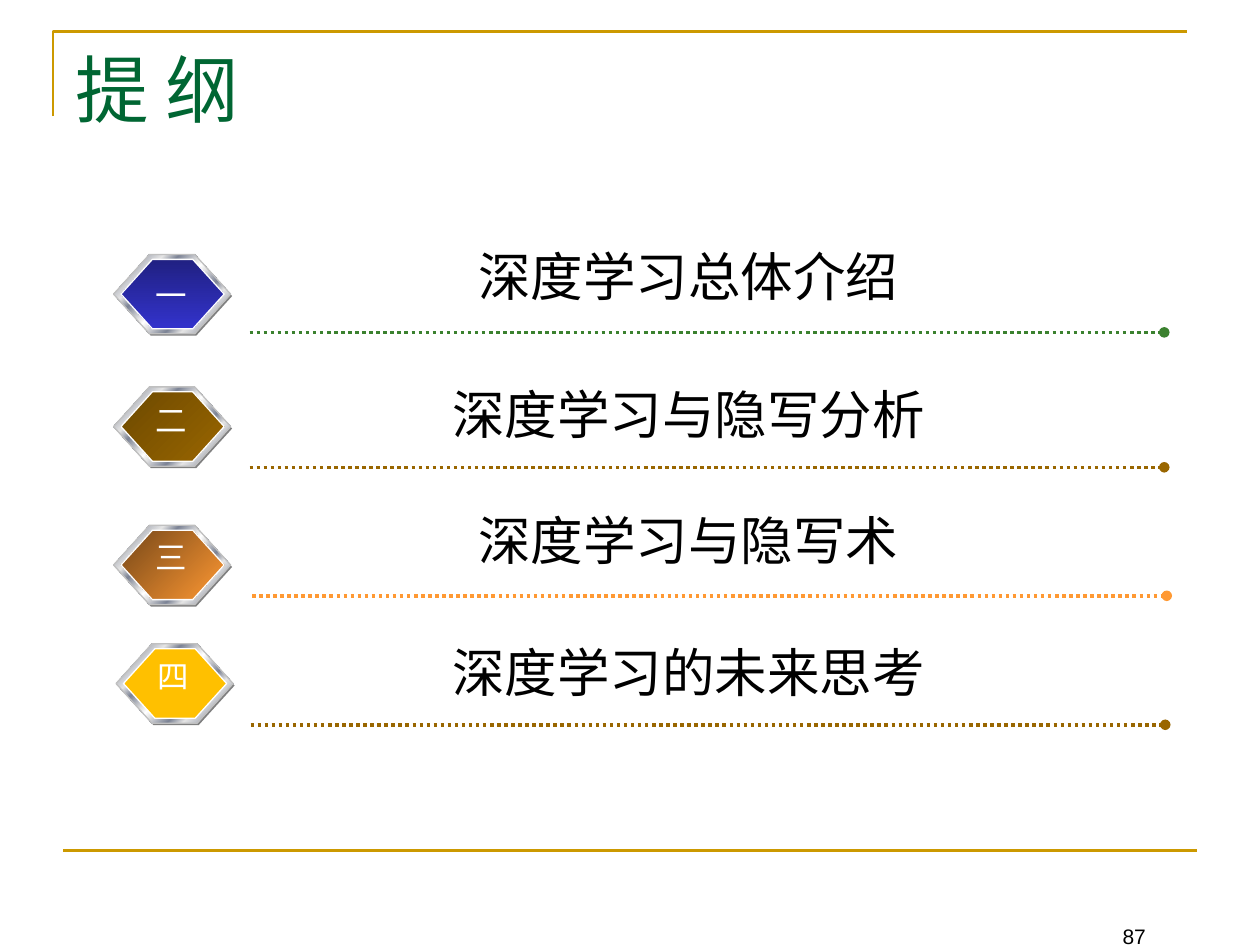
from lxml import etree
from pptx import Presentation
from pptx.dml.color import RGBColor
from pptx.enum.dml import MSO_LINE
from pptx.enum.shapes import MSO_CONNECTOR, MSO_SHAPE
from pptx.enum.text import MSO_ANCHOR, MSO_AUTO_SIZE, PP_ALIGN
from pptx.oxml.ns import qn
from pptx.util import Cm, Pt

HEXAGON = MSO_SHAPE.HEXAGON
STRAIGHT = MSO_CONNECTOR.STRAIGHT
DOTTED = MSO_LINE.ROUND_DOT
CENTER, LEFT = PP_ALIGN.CENTER, PP_ALIGN.LEFT
TOP, BOTTOM = MSO_ANCHOR.TOP, MSO_ANCHOR.BOTTOM
NO_AUTOFIT = MSO_AUTO_SIZE.NONE

CJK_FONT = "Noto Sans CJK SC"
GOLD = "CC9900"
METAL = [(0, "E6E6E6"), (8, "7D8496"), (26, "E6E6E6"), (34, "7D8496"),
         (46, "E6E6E6"), (50, "FFFFFF"), (54, "E6E6E6"), (66, "7D8496"),
         (74, "E6E6E6"), (92, "7D8496"), (100, "E6E6E6")]


def rgb(color):
    return RGBColor.from_string(color)


def set_gradient(s, stops, angle):
    s.fill.gradient()
    s.fill.gradient_angle = 360 - angle
    gs_list = s._element.spPr.find(".//" + qn("a:gsLst"))
    for gs in list(gs_list):
        gs_list.remove(gs)
    for position, color in stops:
        gs = etree.SubElement(gs_list, qn("a:gs"), pos=str(position * 1000))
        etree.SubElement(gs, qn("a:srgbClr"), val=color)


def write(s, text, size, font, color, align=LEFT, anchor=TOP, wrap=True):
    tf = s.text_frame
    tf.text = text
    tf.word_wrap = wrap
    tf.auto_size = NO_AUTOFIT
    tf.vertical_anchor = anchor
    p = tf.paragraphs[0]
    p.alignment = align
    r = p.runs[0]
    r.font.size = Pt(size)
    r.font.name = font
    r.font.color.rgb = rgb(color)
    etree.SubElement(r.font._element, qn("a:ea"), typeface=CJK_FONT)


def add_text(shapes, left, top, width, height, *args, **kwargs):
    box = shapes.add_textbox(Cm(left), Cm(top), Cm(width), Cm(height))
    write(box, *args, **kwargs)


def add_line(shapes, left, top, width, color, weight):
    line = shapes.add_connector(STRAIGHT, Cm(left), Cm(top), Cm(left + width), Cm(top))
    line.line.color.rgb = rgb(color)
    line.line.width = Pt(weight)
    etree.SubElement(line._element.spPr, qn("a:effectLst"))
    return line


def add_hexagon(shapes, left, top, width, height, stops, angle=45, outline=None):
    s = shapes.add_shape(HEXAGON, Cm(left), Cm(top), Cm(width), Cm(height))
    s.shadow.inherit = False
    s.adjustments[0] = 0.452
    if len(stops) == 1:
        s.fill.solid()
        s.fill.fore_color.rgb = rgb(stops[0][1])
    else:
        set_gradient(s, stops, angle)
    if outline:
        s.line.color.rgb = rgb(outline)
        s.line.width = Pt(0.75)
    else:
        s.line.fill.background()


def add_badge(slide, left, top, numeral, numeral_drop, stops, angle):
    shapes = slide.shapes.add_group_shape().shapes
    add_hexagon(shapes, left + 0.03, top + 0.04, 2.36, 1.6, [(0, "808080")])
    add_hexagon(shapes, left, top, 2.36, 1.6, METAL, outline="C0C0C0")
    add_hexagon(shapes, left + 0.15, top + 0.1, 2.08, 1.4, stops, angle, "FFFFFF")
    add_text(shapes, left + 0.58, top + numeral_drop, 1.15, 1.24,
             numeral, 18, "Arial", "FFFFFF", align=CENTER, wrap=False)


def add_topic(slide, left, label_top, line_top, label, color):
    shapes = slide.shapes.add_group_shape().shapes
    line = add_line(shapes, left, line_top, 18.44, color, 2)
    line.line.dash_style = DOTTED
    etree.SubElement(line.line._get_or_add_ln(), qn("a:tailEnd"), type="oval")
    add_text(shapes, 6.58, label_top, 14.6, 1.55,
             label, 30, CJK_FONT, "000000", align=CENTER)


def add_frame(slide, left, top, width, height):
    builder = slide.shapes.build_freeform(Cm(left), Cm(top + height))
    builder.add_line_segments([(Cm(left), Cm(top)), (Cm(left + width), Cm(top))],
                              close=False)
    corner = builder.convert_to_shape()
    corner.shadow.inherit = False
    corner.fill.background()
    corner.line.color.rgb = rgb(GOLD)
    corner.line.width = Pt(1.5)
    add_line(slide.shapes, 1.27, 17.15, width, GOLD, 1.5)


def add_title(slide, left, top, width, height, text):
    title = slide.shapes.title
    title.left, title.top = Cm(left), Cm(top)
    title.width, title.height = Cm(width), Cm(height)
    write(title, text, 42, "Times New Roman", "006633")


def main():
    prs = Presentation()
    prs.slide_width, prs.slide_height = Cm(25.4), Cm(19.05)
    slide = prs.slides.add_slide(prs.slide_layouts[5])
    add_frame(slide, 1.07, 0.64, 22.86, 1.7)
    add_title(slide, 1.27, 0.76, 22.86, 3.18, "提 纲")

    badges = [
        (2.29, 5.13, "一", 0.3, [(0, "202082"), (100, "3333CC")], 90),
        (2.29, 7.8, "二", 0.15, [(0, "6D4900"), (100, "996600")], 45),
        (2.29, 10.59, "三", 0.13, [(0, "764718"), (100, "FF9933")], 45),
        (2.34, 12.98, "四", 0.15, [(0, "FFC000")], 45),
    ]
    topics = [
        (5.03, 4.8, 6.7, "深度学习总体介绍", "3B812F"),
        (5.03, 7.57, 9.42, "深度学习与隐写分析", "996600"),
        (5.08, 10.11, 12.01, "深度学习与隐写术", "FF9933"),
        (5.05, 12.78, 14.61, "深度学习的未来思考", "996600"),
    ]
    for badge, topic in zip(badges, topics):
        add_badge(slide, *badge)
        add_topic(slide, *topic)

    add_text(slide.shapes, 22.38, 18.06, 2.79, 1.19,
             "87", 12, "Arial", "000000", anchor=BOTTOM)
    prs.save("out.pptx")


if __name__ == "__main__":
    main()
